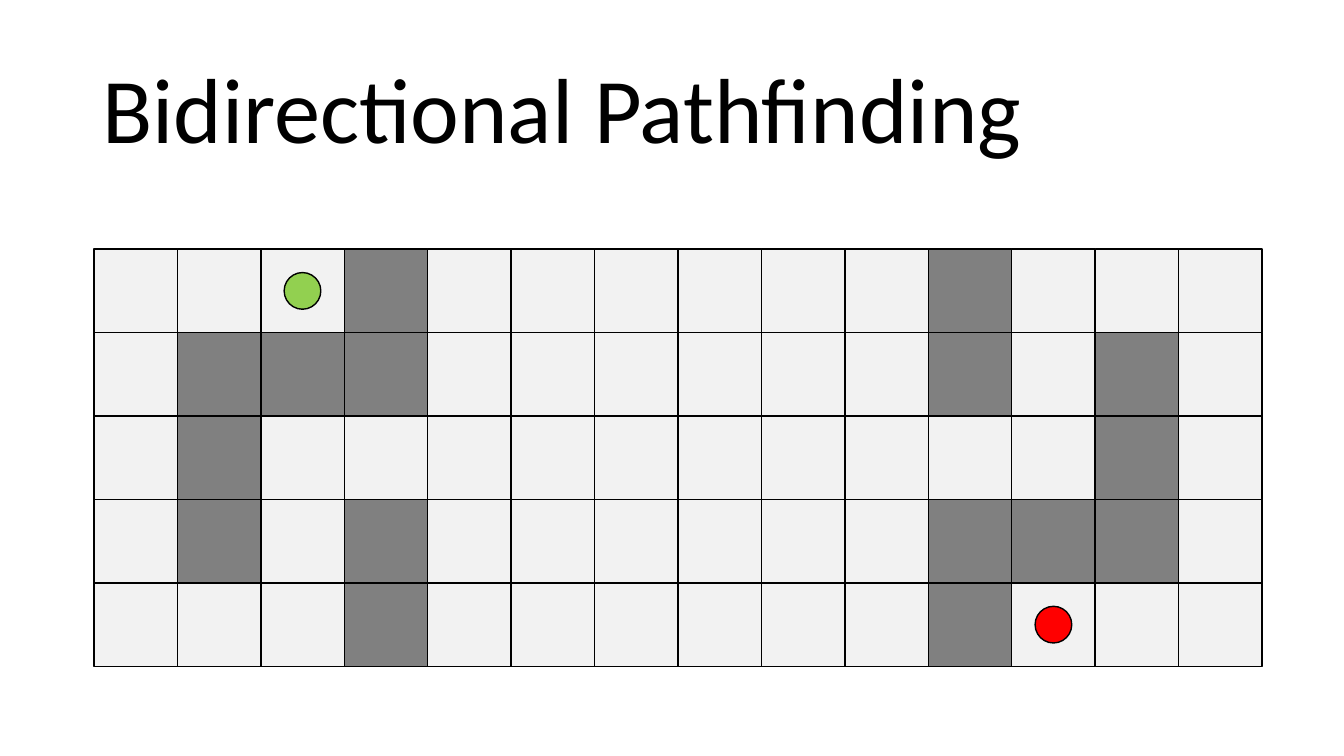
from pptx import Presentation
from pptx.dml.color import RGBColor
from pptx.enum.shapes import MSO_SHAPE
from pptx.enum.text import MSO_ANCHOR
from pptx.util import Pt

RECTANGLE = MSO_SHAPE.RECTANGLE
OVAL = MSO_SHAPE.OVAL
MIDDLE = MSO_ANCHOR.MIDDLE

BLACK = "000000"
START_GREEN = "92D050"
GOAL_RED = "FF0000"
CELL_COLORS = {".": "F2F2F2", "#": "808080"}

# "#" is a wall, "." is an open cell
MAZE = [
    "...#......#...",
    ".###......#.#.",
    ".#..........#.",
    ".#.#......###.",
    "...#......#...",
]
START_CELL = (0, 2)
GOAL_CELL = (4, 11)

GRID_LEFT = 67.1
GRID_TOP = 178
CELL_SIZE = 59.6
MARKER_SIZE = 26.2


def color(hex_string):
    return RGBColor.from_string(hex_string)


def add_title(slide, text):
    box = slide.shapes.add_textbox(Pt(66), Pt(28.8), Pt(828), Pt(104.4))
    text_frame = box.text_frame
    text_frame.word_wrap = True
    text_frame.vertical_anchor = MIDDLE
    text_frame.text = text
    paragraph = text_frame.paragraphs[0]
    paragraph.line_spacing = 0.9
    font = paragraph.runs[0].font
    font.name = "Calibri"
    font.size = Pt(66)
    font.color.rgb = color(BLACK)


def add_in_cell(slide, kind, cell, size, fill):
    """Add a square-sized shape centred in the (row, column) cell."""
    row, column = cell
    inset = (CELL_SIZE - size) / 2
    left = GRID_LEFT + column * CELL_SIZE + inset
    top = GRID_TOP + row * CELL_SIZE + inset
    shape = slide.shapes.add_shape(kind, Pt(left), Pt(top), Pt(size), Pt(size))
    shape.shadow.inherit = False
    shape.fill.solid()
    shape.fill.fore_color.rgb = color(fill)
    shape.line.color.rgb = color(BLACK)
    shape.line.width = Pt(1)


def add_maze(slide):
    for row, cells in enumerate(MAZE):
        for column, cell in enumerate(cells):
            add_in_cell(slide, RECTANGLE, (row, column), CELL_SIZE, CELL_COLORS[cell])


def main():
    presentation = Presentation()
    presentation.slide_width = Pt(960)
    presentation.slide_height = Pt(540)
    slide = presentation.slides.add_slide(presentation.slide_layouts[6])

    add_title(slide, "Bidirectional Pathfinding")
    add_maze(slide)
    add_in_cell(slide, OVAL, START_CELL, MARKER_SIZE, START_GREEN)
    add_in_cell(slide, OVAL, GOAL_CELL, MARKER_SIZE, GOAL_RED)

    presentation.save("out.pptx")


if __name__ == "__main__":
    main()
